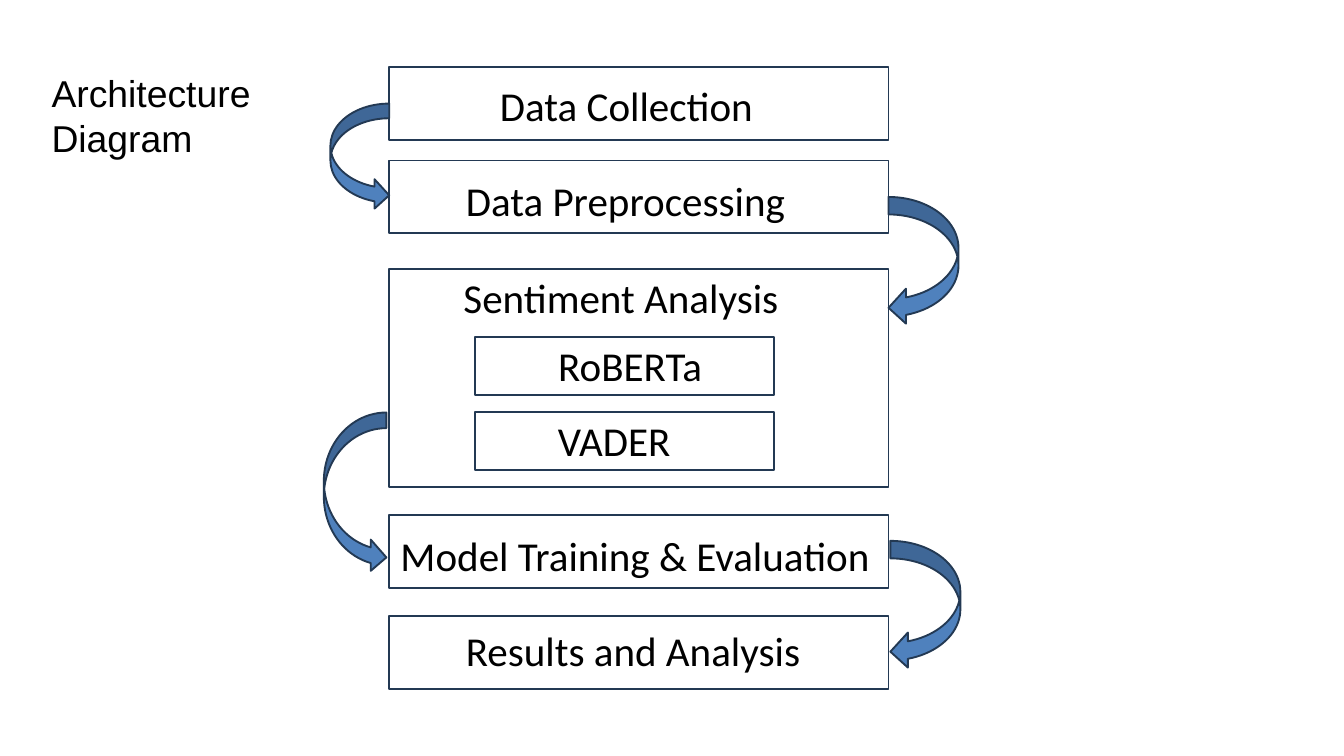
from pptx import Presentation
from pptx.dml.color import RGBColor
from pptx.enum import shapes, text
from pptx.util import Pt

THEME = {
    "paper": RGBColor.from_string("FFFFFF"),
    "ink": RGBColor.from_string("000000"),
    "outline": RGBColor.from_string("233953"),
    "arrow": RGBColor.from_string("4F81BD"),
    "title_font": "Arial", "title_size": 40,
    "label_font": "Calibri", "label_size": 44,
    "line": 2,
}

# Content: wording, box top and height, then label left, top and width
TITLE = "Architecture Diagram"
STAGES = [
    ("Data Collection", 72, 78, (528.5, 83, 306)),
    ("Data Preprocessing", 172, 78, (492, 184.5, 402)),
    ("Sentiment Analysis", 288, 234, (489.5, 288, 402)),
    ("Model Training & Evaluation", 552, 78, (422, 564.5, 524)),
    ("Results and Analysis", 660, 78, (492, 666.5, 484)),
]
MODELS = [
    ("RoBERTa", 361, 62, (591, 361.5, 320)),
    ("VADER", 441.5, 62, (590.5, 442, 320)),
]
# Each group of boxes shares a left edge and a width
COLUMNS = [(417, 535, STAGES), (509, 320, MODELS)]
LABEL_HEIGHT = 60.5

# Flow arrows: side of the column, then left, top, width, height
ARROWS = [
    ("left", 354, 111, 63, 114),
    ("right", 952, 211, 75, 137.5),
    ("left", 347, 442, 67, 172),
    ("right", 954, 579.5, 75, 137.5),
]
ARROW_SHAPES = {
    "left": shapes.MSO_SHAPE.CURVED_RIGHT_ARROW,
    "right": shapes.MSO_SHAPE.CURVED_LEFT_ARROW,
}


def place(shape, left, top, width, height):
    shape.left, shape.top = Pt(left), Pt(top)
    shape.width, shape.height = Pt(width), Pt(height)


def write(shape, words, kind):
    frame = shape.text_frame
    frame.word_wrap = True
    frame.auto_size = text.MSO_AUTO_SIZE.SHAPE_TO_FIT_TEXT
    frame.vertical_anchor = text.MSO_ANCHOR.TOP
    frame.text = words
    para = frame.paragraphs[0]
    para.alignment = text.PP_ALIGN.LEFT
    para.font.name = THEME[kind + "_font"]
    para.font.size = Pt(THEME[kind + "_size"])
    para.font.color.rgb = THEME["ink"]


def add_outlined(page, preset, bounds, fill):
    shape = page.shapes.add_shape(preset, *map(Pt, bounds))
    shape.shadow.inherit = False
    shape.fill.solid()
    shape.fill.fore_color.rgb = THEME[fill]
    shape.line.color.rgb = THEME["outline"]
    shape.line.width = Pt(THEME["line"])


def main():
    deck = Presentation()
    deck.slide_width, deck.slide_height = Pt(1440), Pt(810)
    page = deck.slides.add_slide(deck.slide_layouts[5])

    # Title
    title = page.shapes.title
    place(title, 48, 72, 330, 104.5)
    write(title, TITLE, "title")

    # Stages, then the models inside the sentiment stage
    for left, width, rows in COLUMNS:
        for words, top, height, (label_left, label_top, label_width) in rows:
            add_outlined(page, shapes.MSO_SHAPE.RECTANGLE,
                         (left, top, width, height), "paper")
            label = page.shapes.add_textbox(
                Pt(label_left), Pt(label_top), Pt(label_width), Pt(LABEL_HEIGHT))
            write(label, words, "label")

    # Flow arrows
    for side, *bounds in ARROWS:
        add_outlined(page, ARROW_SHAPES[side], bounds, "arrow")

    deck.save("out.pptx")


if __name__ == "__main__":
    main()
